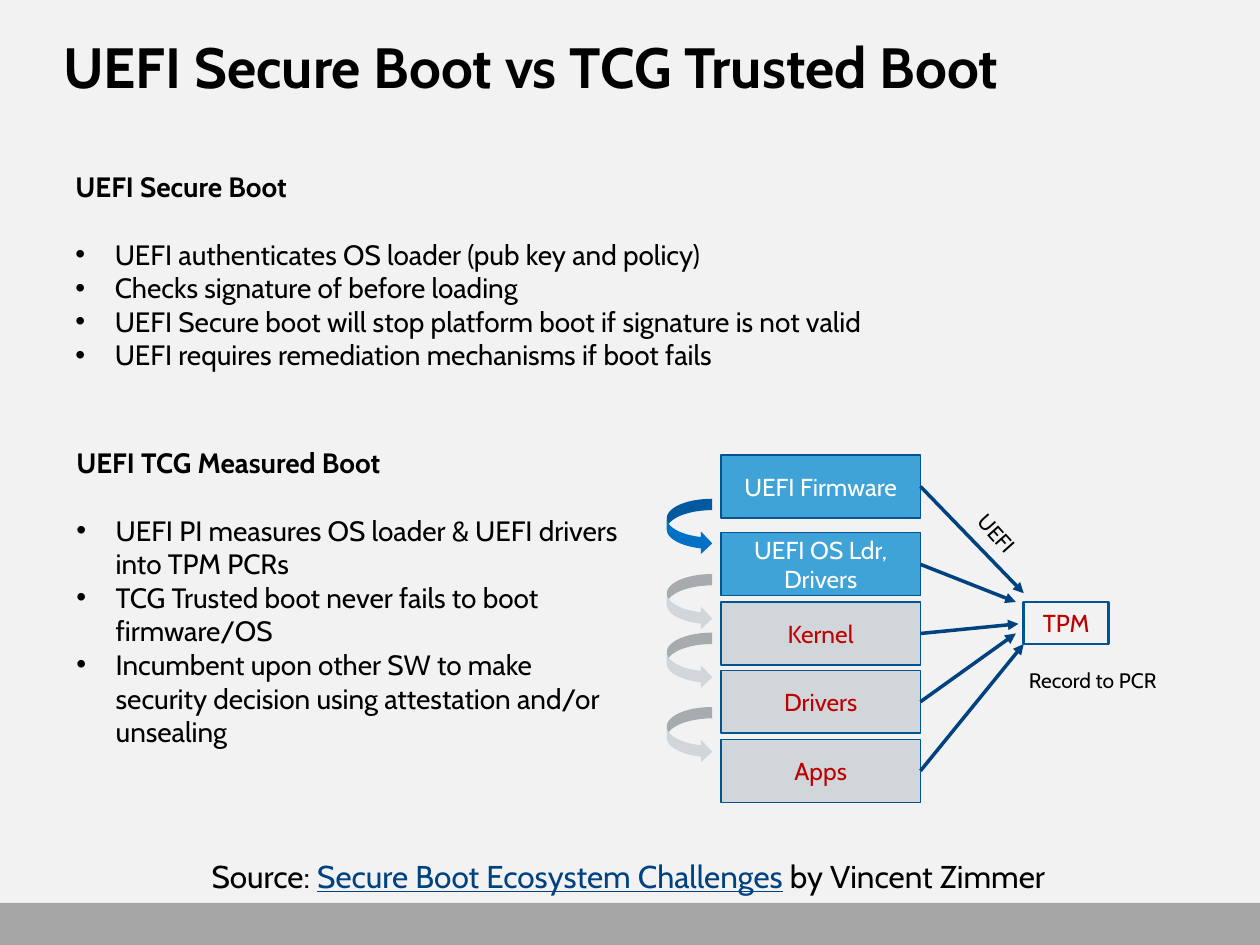
from lxml import etree
from pptx import Presentation
from pptx.dml.color import RGBColor
from pptx.enum.shapes import MSO_CONNECTOR, MSO_SHAPE
from pptx.enum.text import MSO_ANCHOR, PP_ALIGN
from pptx.oxml.ns import qn
from pptx.util import Pt

RECT = MSO_SHAPE.RECTANGLE
CURVED = MSO_SHAPE.CURVED_RIGHT_ARROW
STRAIGHT = MSO_CONNECTOR.STRAIGHT
TOP, MIDDLE = MSO_ANCHOR.TOP, MSO_ANCHOR.MIDDLE
LEFT, CENTER = PP_ALIGN.LEFT, PP_ALIGN.CENTER

BLACK, WHITE, RED = "000000", "FFFFFF", "C00000"
NAVY, EDGE, SKY, BLUE = "004280", "005492", "3FA3D8", "0071C5"
SILVER, GRAY, PAPER = "D0D6D9", "A6A6A6", "F2F2F2"

FOOTER = (0, 516, 720, 24)
TITLE = (36, 18, 648, 78)
SECURE = (36, 93.6, 636, 124)
MEASURED = (36.5, 251.3, 326, 181)
DIAGRAM = (381, 260, 325, 199)
SOURCE = (113.8, 486, 527.8, 28.8)


def rgb(color):
    return RGBColor.from_string(color)


def points(*values):
    return [Pt(v) for v in values]


def add_run(p, text, size, color=BLACK, bold=False, underline=False):
    r = p.add_run()
    r.text = text
    formats = {"name": "Cabin", "size": Pt(size), "bold": bold, "underline": underline}
    for name, value in formats.items():
        setattr(r.font, name, value)
    r.font.color.rgb = rgb(color)


def add_shape(s, kind, box, fill=None, line=None, width=0.75):
    sp = s.shapes.add_shape(kind, *points(*box))
    sp.shadow.inherit = False
    if fill:
        sp.fill.solid()
        sp.fill.fore_color.rgb = rgb(fill)
    else:
        sp.fill.background()
    if line:
        sp.line.color.rgb = rgb(line)
        sp.line.width = Pt(width)
    else:
        sp.line.fill.background()
    return sp


def add_box(s, box, text, color, fill=None, width=0.75):
    sp = add_shape(s, RECT, box, fill, EDGE, width)
    tf = sp.text_frame
    tf.word_wrap = True
    tf.vertical_anchor = MIDDLE
    p = tf.paragraphs[0]
    p.alignment = CENTER
    add_run(p, text, 14, color)


def add_text(s, box):
    sp = s.shapes.add_textbox(*points(*box))
    sp.text_frame.word_wrap = True
    return sp


def add_label(s, box, text, rotation=0):
    sp = add_text(s, box)
    sp.rotation = rotation
    p = sp.text_frame.paragraphs[0]
    p.alignment = CENTER
    add_run(p, text, 12)


def add_arrow(s, start, end):
    line = s.shapes.add_connector(STRAIGHT, *points(*start, *end))
    line.line.color.rgb = rgb(NAVY)
    line.line.width = Pt(2)
    etree.SubElement(line.line._get_or_add_ln(), qn("a:tailEnd"), type="triangle")
    etree.SubElement(line._element.spPr, qn("a:effectLst"))


def add_bullet(p):
    pPr = p._p.get_or_add_pPr()
    pPr.set("marL", str(Pt(22.5)))
    pPr.set("indent", str(-Pt(22.5)))
    etree.SubElement(pPr, qn("a:buFont"), typeface="Arial")
    etree.SubElement(pPr, qn("a:buChar"), char="•")


def fill_title(s, box, text):
    title = s.shapes.title
    for name, value in zip(("left", "top", "width", "height"), points(*box)):
        setattr(title, name, value)
    tf = title.text_frame
    formats = {"margin_left": 0, "margin_top": 0, "margin_right": 0,
               "margin_bottom": 0, "word_wrap": True, "vertical_anchor": TOP}
    for name, value in formats.items():
        setattr(tf, name, value)
    p = tf.paragraphs[0]
    p.alignment = LEFT
    add_run(p, text, 32.4, bold=True)


def add_section(s, box, heading, bullets):
    tf = add_text(s, box).text_frame
    p = tf.paragraphs[0]
    p.space_after = Pt(19.2)
    add_run(p, heading, 16, bold=True)
    for text in bullets:
        p = tf.add_paragraph()
        add_bullet(p)
        add_run(p, text, 16)


def add_diagram(s, box):
    x, y, width, height = box
    stack_x, stack_w, step_h = x + 31, 114, 36
    steps = [
        ("UEFI Firmware", 0, SKY, WHITE, (204, 79)),
        ("UEFI OS Ldr, Drivers", 44.5, SKY, WHITE, (199.5, 84)),
        ("Kernel", 84, SILVER, RED, (201, 96.5)),
        ("Drivers", 123, SILVER, RED, (199.5, 102)),
        ("Apps", 162.5, SILVER, RED, (204, 108)),
    ]
    for text, dy, fill, color, (end_x, end_y) in steps:
        add_box(s, (stack_x, y + dy, stack_w, step_h), text, color, fill)
        add_arrow(s, (stack_x + stack_w, y + dy + step_h / 2), (x + end_x, y + end_y))
    for dy, fill in ((25, BLUE), (68, SILVER), (101.5, SILVER), (144, SILVER)):
        add_shape(s, CURVED, (x, y + dy, 26, 32), fill)
    add_box(s, (x + 204, y + 84, 48.5, 24), "TPM", RED, width=1.5)
    add_label(s, (x + 111, y + 34, 155, 21.6), "UEFI", 48.2)
    add_label(s, (x + 166, y + 118, 155, 21.6), "Record to PCR")


def add_source(s, box):
    p = add_text(s, box).text_frame.paragraphs[0]
    add_run(p, "Source: ", 18)
    add_run(p, "Secure Boot Ecosystem Challenges", 18, NAVY, underline=True)
    add_run(p, " by Vincent Zimmer", 18)


def main():
    prs = Presentation()
    prs.slide_width, prs.slide_height = points(720, 540)
    s = prs.slides.add_slide(prs.slide_layouts[5])
    s.background.fill.solid()
    s.background.fill.fore_color.rgb = rgb(PAPER)
    add_shape(s, RECT, FOOTER, GRAY)
    fill_title(s, TITLE, "UEFI Secure Boot vs TCG Trusted Boot")
    add_section(s, SECURE, "UEFI Secure Boot", [
        "UEFI authenticates OS loader (pub key and policy)",
        "Checks signature of before loading",
        "UEFI Secure boot will stop platform boot if signature is not valid",
        "UEFI requires remediation mechanisms if boot fails",
    ])
    add_section(s, MEASURED, "UEFI TCG Measured Boot", [
        "UEFI PI measures OS loader & UEFI drivers into TPM PCRs",
        "TCG Trusted boot never fails to boot firmware/OS",
        "Incumbent upon other SW to make security decision using attestation and/or unsealing",
    ])
    add_diagram(s, DIAGRAM)
    add_source(s, SOURCE)
    prs.save("out.pptx")


if __name__ == "__main__":
    main()
